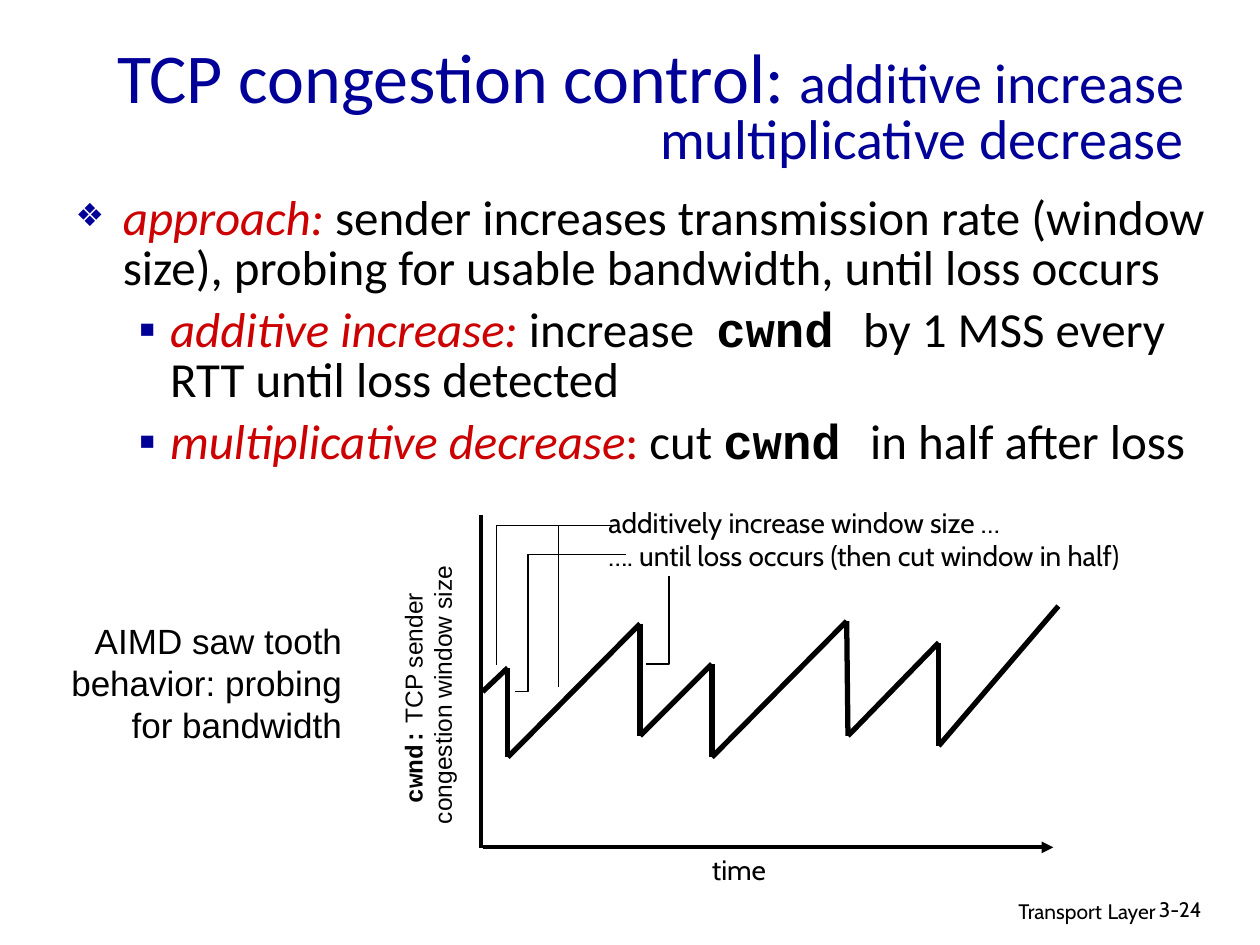
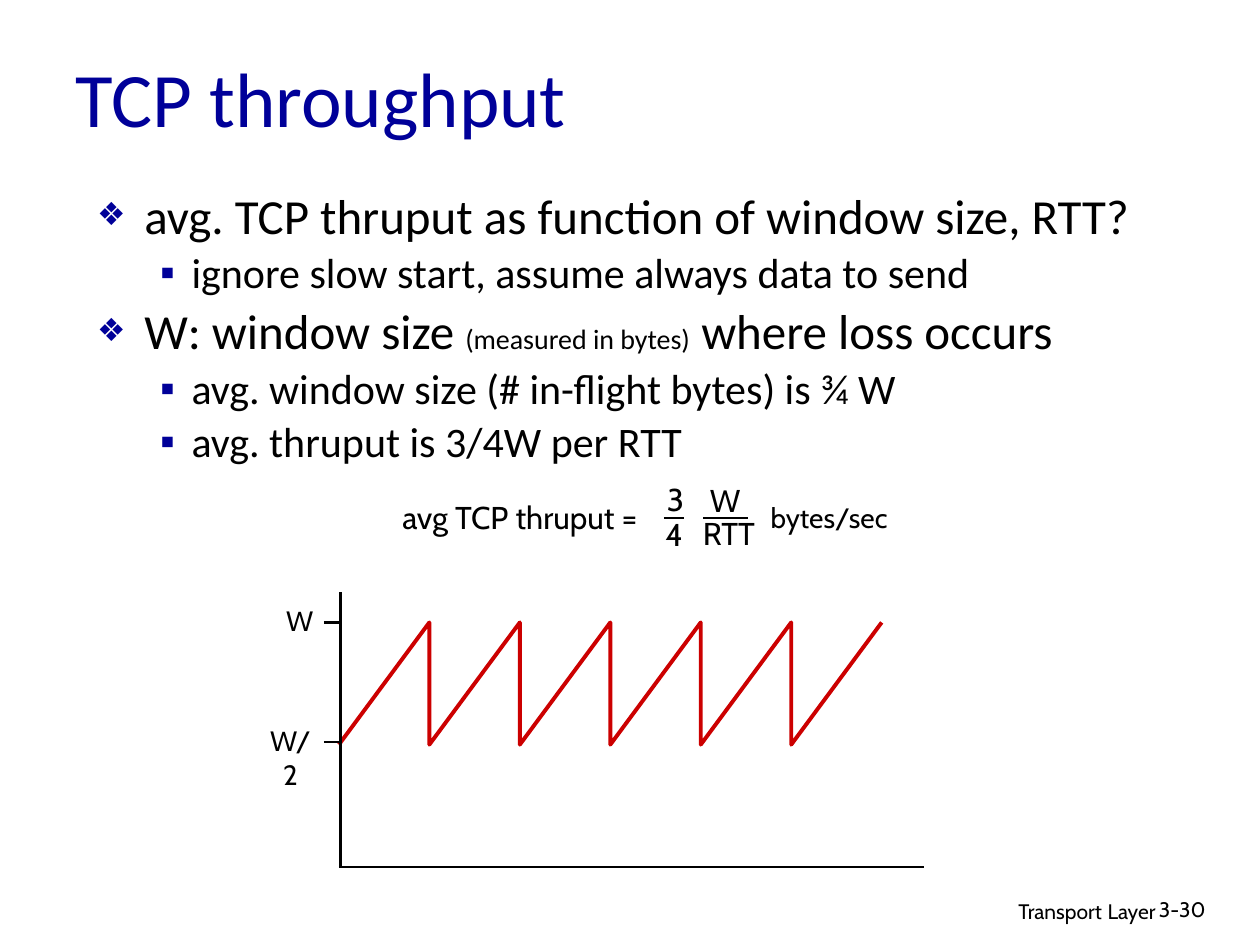
"""Build two slides on TCP congestion control and TCP throughput."""
import itertools

import lxml.etree
import pptx
import pptx.dml.color
import pptx.enum.shapes
import pptx.enum.text
import pptx.oxml.ns
import pptx.util

BLACK, NAVY, RED, WHITE = "000000", "000099", "CC0000", "FFFFFF"
HEADING, LABEL, PLAIN, CODE = "Calibri", "Cabin", "Arial", "Courier New"
ALIGN = pptx.enum.text.PP_ALIGN
rgb = pptx.dml.color.RGBColor.from_string
qn = pptx.oxml.ns.qn

presentation = pptx.Presentation()
presentation.slide_width = pptx.util.Inches(10)
presentation.slide_height = pptx.util.Inches(7.5)
CELL = presentation.slide_width / 100  # grid of 100 columns and 75 rows

BULLETS = [("❖", 3.75, -3.75, 65), ("▪", 7.5, -2.5, 100)]
STYLES = {
    "": {},
    "term": {"italic": True, "color": RED},
    "mark": {"color": RED},
    "code": {"name": CODE, "bold": True},
    "gap": {"size": pptx.util.Pt(14)},
    "subtitle": {"size": pptx.util.Pt(32)},
    "aside": {"size": pptx.util.Pt(16)},
}


def write(shape, box, paragraphs, font, sizes, color=BLACK, align=ALIGN.LEFT,
          wrap=False, spacing=None, levels=None):
    """Place a text shape on the grid and fill it with styled paragraphs."""
    shape.left, shape.top, shape.width, shape.height = (round(n * CELL) for n in box)
    frame = shape.text_frame
    frame.word_wrap = wrap
    frame.auto_size = pptx.enum.text.MSO_AUTO_SIZE.NONE
    for index, runs in enumerate(paragraphs):
        paragraph = frame.add_paragraph() if index else frame.paragraphs[0]
        level = levels[index] if levels else 0
        size = sizes[level]
        paragraph.alignment = align
        paragraph.level = level
        paragraph.line_spacing = spacing
        if levels:
            character, margin, indent, percent = BULLETS[level]
            properties = paragraph._p.get_or_add_pPr()
            properties.set("marL", str(round(margin * CELL)))
            properties.set("indent", str(round(indent * CELL)))
            bullet_color = lxml.etree.SubElement(properties, qn("a:buClr"))
            lxml.etree.SubElement(bullet_color, qn("a:srgbClr"), val=NAVY)
            lxml.etree.SubElement(properties, qn("a:buSzPct"), val=str(percent * 1000))
            lxml.etree.SubElement(properties, qn("a:buChar"), char=character)
            paragraph.space_before = pptx.util.Pt(size / 4 if index else 0)
        paragraph.font.name = font
        paragraph.font.size = pptx.util.Pt(size)
        paragraph.font.color.rgb = rgb(color)
        for text, style in [(runs, "")] if isinstance(runs, str) else runs:
            run = paragraph.add_run()
            run.text = text
            for attribute, value in STYLES[style].items():
                if attribute == "color":
                    run.font.color.rgb = rgb(value)
                else:
                    setattr(run.font, attribute, value)


def draw(slide, points, width, color=BLACK, arrow=False):
    """Draw a connector between two grid points, or an open outline through more."""
    points = [(round(x * CELL), round(y * CELL)) for x, y in points]
    if len(points) == 2:
        straight = pptx.enum.shapes.MSO_CONNECTOR.STRAIGHT
        shape = slide.shapes.add_connector(straight, *points[0], *points[1])
    else:
        builder = slide.shapes.build_freeform(*points[0])
        builder.add_line_segments(points[1:], close=False)
        shape = builder.convert_to_shape()
        shape.fill.background()
    shape.line.color.rgb = rgb(color)
    shape.line.width = pptx.util.Pt(width)
    if arrow:
        lxml.etree.SubElement(shape.line._get_or_add_ln(), qn("a:tailEnd"), type="triangle")
    lxml.etree.SubElement(shape._element.spPr, qn("a:effectLst"))


pages = [
    {
        "number": "3-24",
        "title": [("TCP congestion control: ", ""),
                  ("additive increase multiplicative decrease", "subtitle")],
        "title_box": (2.5, 2.5, 92.5, 12.5), "title_size": 40,
        "title_align": ALIGN.RIGHT, "title_spacing": 0.8,
        "body_box": (5, 15, 92.2, 15.8), "body_sizes": (28, 28), "levels": (0, 1, 1),
        "body": [
            [("approach: ", "term"),
             ("sender increases transmission rate (window size), probing for usable "
              "bandwidth, until loss occurs", "")],
            [("additive increase:", "term"), (" increase  ", ""), ("cwnd ", "code"),
             ("by 1 MSS every RTT until loss detected", "")],
            [("multiplicative decrease", "term"), (":", "mark"), (" cut ", ""),
             ("cwnd ", "code"), ("in half after loss", "")],
        ],
    },
    {
        "number": "3-30",
        "title": "TCP throughput",
        "title_box": (5, 2.6, 85, 10.2), "title_size": 44,
        "title_align": ALIGN.LEFT, "title_spacing": 1.0,
        "body_box": (6.7, 14.9, 90.4, 50.8), "body_sizes": (28, 24), "levels": (0, 1, 0, 1, 1),
        "body": [
            "avg. TCP thruput as function of window size, RTT?",
            "ignore slow start, assume always data to send",
            [("W: window size ", ""), ("(measured in bytes)", "aside"),
             (" where loss occurs", "")],
            "avg. window size (# in-flight bytes) is ¾ W",
            "avg. thruput is 3/4W per RTT",
        ],
    },
]
for page in pages:
    slide = presentation.slides.add_slide(presentation.slide_layouts[1])
    write(slide.shapes.title, page["title_box"], [page["title"]], HEADING,
          [page["title_size"]], NAVY, page["title_align"], wrap=True,
          spacing=page["title_spacing"])
    write(slide.placeholders[1], page["body_box"], page["body"], HEADING,
          page["body_sizes"], wrap=True, spacing=0.85, levels=page["levels"])
    footer = [("Transport", ""), (" ", "gap"), ("Layer", "")]
    write(slide.shapes.add_textbox(0, 0, 0, 0), (61, 70.5, 31.7, 3.1), [footer],
          LABEL, [12], align=ALIGN.RIGHT, wrap=True)
    write(slide.shapes.add_textbox(0, 0, 0, 0), (91, 70.7, 7.4, 3), [page["number"]],
          LABEL, [12], wrap=True)
congestion, throughput = presentation.slides

axis_label = congestion.shapes.add_textbox(0, 0, 0, 0)
axis_label.rotation = 270
axis_label.fill.solid()
axis_label.fill.fore_color.rgb = rgb(WHITE)
write(axis_label, (22.7, 52.3, 22.5, 5.7),
      [[("cwnd:", "code"), (" TCP sender ", "")], "congestion window size"],
      PLAIN, [14], align=ALIGN.CENTER)
write(congestion.shapes.add_textbox(0, 0, 0, 0), (4.65, 48.65, 23.5, 11),
      ["AIMD saw tooth", "behavior: probing", "for bandwidth"],
      PLAIN, [20], align=ALIGN.RIGHT)
draw(congestion, [(38.3, 67.25), (83.6, 67.25)], 2.25, arrow=True)
draw(congestion, [(38.2, 40.9), (38.2, 67.3)], 2.25)
window_sizes = [(38.3, 54.9), (40.3, 53), (40.3, 60.1), (50.8, 49.5), (50.8, 58.4),
                (56.5, 52.7), (56.5, 60.1), (67.2, 49.3), (67.3, 58.4),
                (74.5, 51), (74.5, 59.2), (84, 48.1)]
for segment in itertools.pairwise(window_sizes):
    draw(congestion, segment, 3)
write(congestion.shapes.add_textbox(0, 0, 0, 0), (47.3, 39.6, 47.8, 6.4),
      ["additively increase window size …",
       "…. until loss occurs (then cut window in half)"], LABEL, [16])
callouts = [
    [(48.8, 41.7), (39.4, 41.7), (39.4, 52.8)],
    [(49.7, 44), (41.9, 44), (41.9, 54.9), (40.9, 54.9)],
    [(48.8, 41.7), (44.3, 41.7), (44.3, 54.5)],
    [(53.1, 45.7), (53.1, 52.7), (51.3, 52.7)],
]
for callout in callouts:
    draw(congestion, callout, 0.75)
write(congestion.shapes.add_textbox(0, 0, 0, 0), (55.3, 67.2, 6.7, 3.7), ["time"],
      LABEL, [16], align=ALIGN.CENTER)

FULL, HALF, PERIOD, START = 49.4, 59.1, 7.18, 26.9
sawtooth = []
for cycle in range(6):
    sawtooth += [(START + cycle * PERIOD, HALF), (START + (cycle + 1) * PERIOD, FULL)]
draw(throughput, sawtooth, 2.25, RED)
draw(throughput, [(START, 68.8), (73.3, 68.8)], 1.5)
draw(throughput, [(27, 47), (27, 68.9)], 1.5)
for text, tick, center, width, wrap in [("W", FULL, 23.8, 4, False),
                                        ("W/2", 58.9, 23.05, 6.1, True)]:
    draw(throughput, [(25.7, tick), (START, tick)], 1.5)
    write(throughput.shapes.add_textbox(0, 0, 0, 0),
          (center - width / 2, tick - 1.95, width, 3.7), [text],
          LABEL, [16], align=ALIGN.CENTER, wrap=wrap)

for text, left, top, width, size in [("avg TCP thruput = ", 29.7, 39, 23.7, 18),
                                     ("bytes/sec", 59.9, 39.2, 11.8, 16)]:
    write(throughput.shapes.add_textbox(0, 0, 0, 0), (left, top, width, 4), [text],
          LABEL, [size], align=ALIGN.CENTER)
fraction_parts = [("3", 53.6, 37.6, 3.4), ("4", 53.5, 40.4, 3.4),
                  ("W", 57.55, 37.7, 4.3), ("RTT", 57.85, 40.3, 6.3)]
for text, center, top, width in fraction_parts:
    write(throughput.shapes.add_textbox(0, 0, 0, 0),
          (center - width / 2, top, width, 4), [text],
          LABEL, [18], align=ALIGN.CENTER)
for left, right in [(52.7, 54.3), (55.8, 59.4)]:
    draw(throughput, [(left, 41.1), (right, 41.1)], 1.5)

presentation.save("out.pptx")
